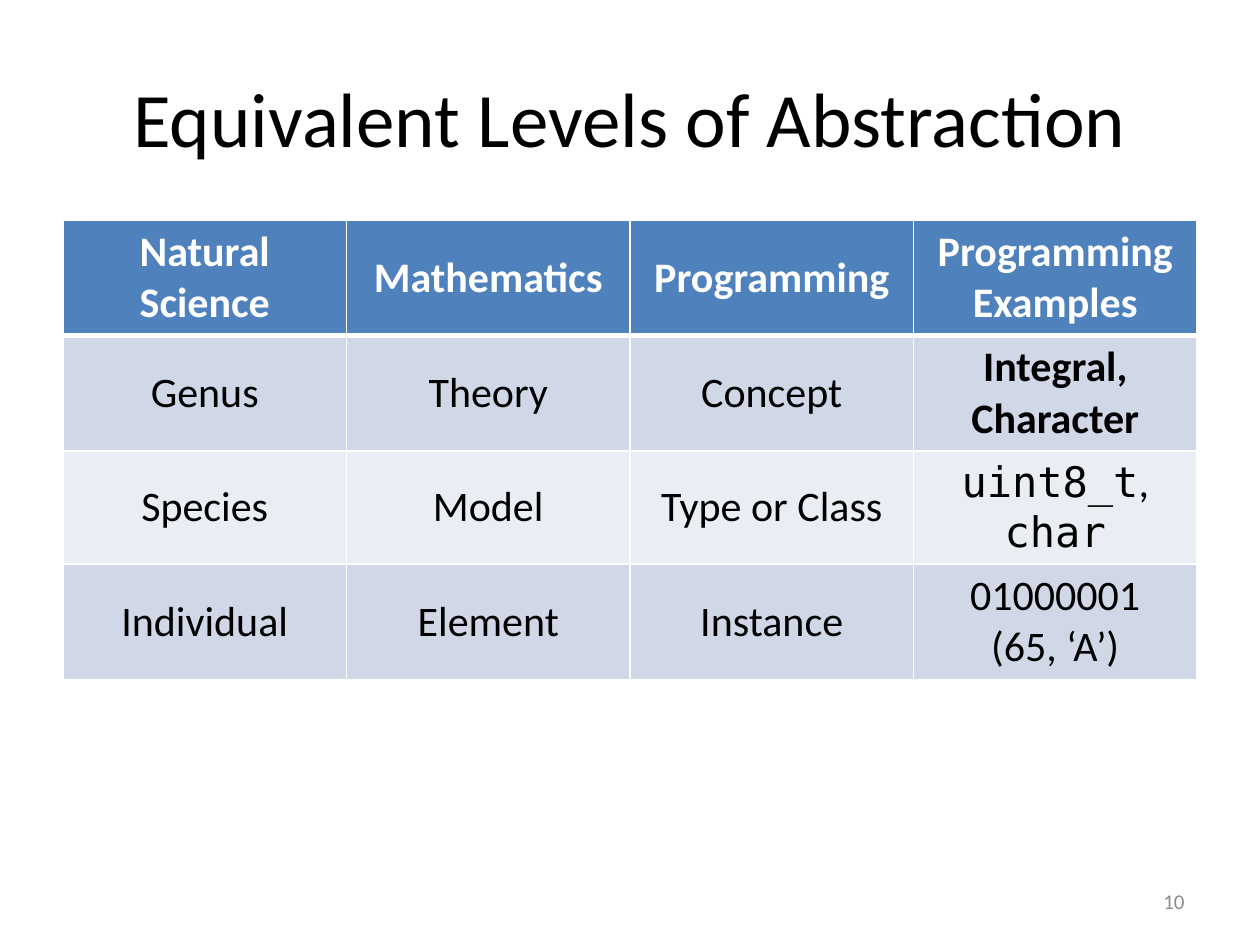
from dataclasses import dataclass

import pptx
import pptx.dml.color
import pptx.enum.text
import pptx.oxml
import pptx.oxml.ns
import pptx.util

Inches, Pt = pptx.util.Inches, pptx.util.Pt
ALIGN, ANCHOR = pptx.enum.text.PP_ALIGN, pptx.enum.text.MSO_ANCHOR


@dataclass(frozen=True)
class Theme:
    body: str = "Calibri"
    code: str = "DejaVu Sans Mono"
    title_size: int = 44
    table_size: int = 24
    number_size: int = 12
    black: str = "000000"
    white: str = "FFFFFF"
    grey: str = "8C8C8C"
    header: str = "4F81BD"
    bands: tuple = ("D0D8E8", "E9EDF4")
    thin_line: int = 1
    header_line: int = 3


THEME = Theme()
TITLE = "Equivalent Levels of Abstraction"
SLIDE_NUMBER = "10"
LEVELS = [
    ["Natural Science", "Mathematics", "Programming", "Programming\nExamples"],
    ["Genus", "Theory", "Concept", "Integral, Character"],
    ["Species", "Model", "Type or Class", ["uint8_t", ", ", "char"]],
    ["Individual", "Element", "Instance", "01000001\v(65, ‘A’)"],
]
BOLD_TERMS = {"Integral, Character"}
CODE_TERMS = {"uint8_t", "char"}

WIDTH, HEIGHT = Inches(10), Inches(7.5)
MARGIN = WIDTH // 20
CONTENT_WIDTH = WIDTH - 2 * MARGIN
ROW_HEIGHT = Inches(0.9)


def place(shape, left, top, width, height):
    shape.left, shape.top, shape.width, shape.height = left, top, width, height


def style(run, size, color, bold=False):
    run.font.name = THEME.code if run.text in CODE_TERMS else THEME.body
    run.font.size = Pt(size)
    run.font.bold = bold
    run.font.color.rgb = pptx.dml.color.RGBColor.from_string(color)


def write(frame, content, size, color, align, bold=False):
    """Fill a text frame with a string, or with a list of runs."""
    if isinstance(content, list):
        for term in content:
            frame.paragraphs[0].add_run().text = term
    else:
        frame.text = content
    for paragraph in frame.paragraphs:
        paragraph.alignment = align
        for run in paragraph.runs:
            style(run, size, color, bold or run.text in BOLD_TERMS)


def add_borders(cell, row):
    widths = {"L": THEME.thin_line, "R": THEME.thin_line,
              "T": THEME.header_line if row == 1 else THEME.thin_line,
              "B": THEME.header_line if row == 0 else THEME.thin_line}
    for side, width in widths.items():
        cell._tc.get_or_add_tcPr().append(pptx.oxml.parse_xml(
            f'<a:ln{side} {pptx.oxml.ns.nsdecls("a")} w="{Pt(width)}">'
            f'<a:solidFill><a:srgbClr val="{THEME.white}"/></a:solidFill>'
            f'</a:ln{side}>'))


def add_levels_table(slide):
    rows, columns = len(LEVELS), len(LEVELS[0])
    table = slide.shapes.add_table(rows, columns, MARGIN, Inches(1.75),
                                   CONTENT_WIDTH, rows * ROW_HEIGHT).table
    for row, terms in enumerate(LEVELS):
        is_header = row == 0
        fill = THEME.header if is_header else THEME.bands[(row - 1) % 2]
        color = THEME.white if is_header else THEME.black
        for column, term in enumerate(terms):
            cell = table.cell(row, column)
            add_borders(cell, row)
            cell.fill.solid()
            cell.fill.fore_color.rgb = pptx.dml.color.RGBColor.from_string(fill)
            cell.vertical_anchor = ANCHOR.MIDDLE
            write(cell.text_frame, term, THEME.table_size, color,
                  ALIGN.CENTER, is_header)


def main():
    deck = pptx.Presentation()
    deck.slide_width, deck.slide_height = WIDTH, HEIGHT
    slide = deck.slides.add_slide(deck.slide_layouts.get_by_name("Title Only"))

    title = slide.shapes.title
    place(title, MARGIN, HEIGHT // 25, CONTENT_WIDTH, HEIGHT // 6)
    title.text_frame.vertical_anchor = ANCHOR.MIDDLE
    write(title.text_frame, TITLE, THEME.title_size, THEME.black, ALIGN.CENTER)

    add_levels_table(slide)

    number_width = Inches(2.33)
    number = slide.shapes.add_textbox(WIDTH - MARGIN - number_width,
                                      Inches(6.95), number_width, Inches(0.4))
    number.text_frame.word_wrap = True
    number.text_frame.vertical_anchor = ANCHOR.MIDDLE
    write(number.text_frame, SLIDE_NUMBER, THEME.number_size, THEME.grey,
          ALIGN.RIGHT)

    deck.save("out.pptx")


if __name__ == "__main__":
    main()
